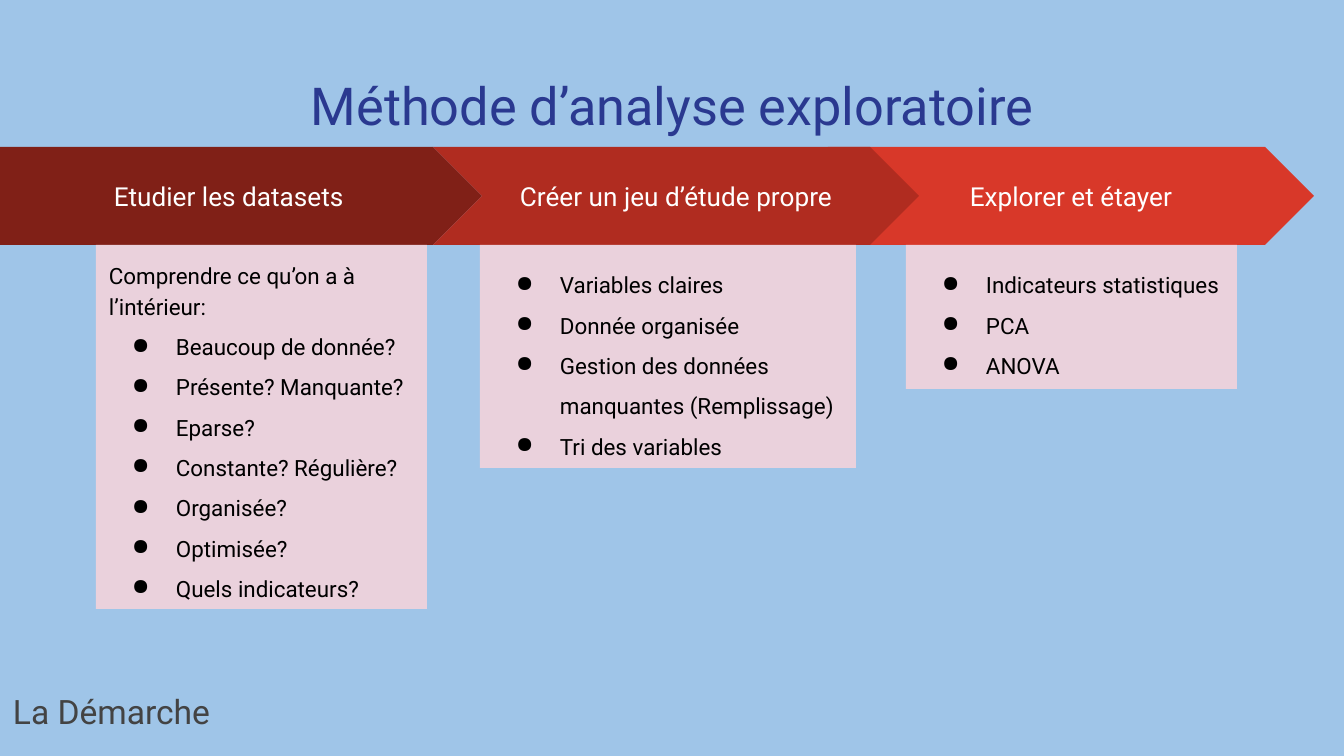
"""Build a slide with three process arrows and their detail panels."""
from lxml import etree
from pptx import Presentation
from pptx.dml.color import RGBColor
from pptx.enum.shapes import MSO_SHAPE
from pptx.enum.text import MSO_ANCHOR, MSO_AUTO_SIZE, PP_ALIGN
from pptx.oxml.ns import qn
from pptx.util import Emu, Pt

TOP, MIDDLE = MSO_ANCHOR.TOP, MSO_ANCHOR.MIDDLE
LEFT, CENTER = PP_ALIGN.LEFT, PP_ALIGN.CENTER
RECT, PLATE, CHEVRON = MSO_SHAPE.RECTANGLE, MSO_SHAPE.PENTAGON, MSO_SHAPE.CHEVRON
NO_FIT = MSO_AUTO_SIZE.NONE
PX = 914400 / 134.4


def px(*nums):
    return [Emu(round(num * PX)) for num in nums]


def write(shape, lines, size, color, align, anchor):
    frame = shape.text_frame
    frame.word_wrap = True
    frame.auto_size = NO_FIT
    frame.vertical_anchor = anchor
    inset = px(13)[0]
    frame.margin_left = frame.margin_right = inset
    frame.margin_top = frame.margin_bottom = inset
    for i, line in enumerate(lines):
        para = frame.add_paragraph() if i else frame.paragraphs[0]
        para.alignment = align
        run = para.add_run()
        run.text = line
        run.font.name = "Roboto"
        run.font.size = Pt(size)
        run.font.color.rgb = RGBColor.from_string(color)
    return frame.paragraphs


deck = Presentation()
deck.slide_width, deck.slide_height = px(1344, 756)
slide = deck.slides.add_slide(deck.slide_layouts[5])
back = slide.background.fill
back.solid()
back.fore_color.rgb = RGBColor.from_string("9FC5E8")

title = slide.shapes.title
title.left, title.top, title.width, title.height = px(46, 60, 1252, 89)
write(title, ["Méthode d’analyse exploratoire"], 28, "2A3990", CENTER, TOP)

label = slide.shapes.add_textbox(*px(0, 668, 242, 87))
write(label, ["La Démarche"], 18, "434343", LEFT, MIDDLE)

steps = [
    ("Explorer et étayer", CHEVRON, 828, 486, "D83829", 906, 331, 144, "",
     ["Indicateurs statistiques", "PCA", "ANOVA"]),
    ("Etudier les datasets", PLATE, 0, 482, "802017", 96, 331, 364,
     "Comprendre ce qu’on a à l’intérieur:",
     ["Beaucoup de donnée?", "Présente? Manquante?", "Eparse?",
      "Constante? Régulière?", "Organisée?", "Optimisée?",
      "Quels indicateurs?"]),
    ("Créer un jeu d’étude propre", CHEVRON, 433, 486, "B02C20", 480, 376, 223, "",
     ["Variables claires", "Donnée organisée",
      "Gestion des données manquantes (Remplissage)", "Tri des variables"]),
]

for name, kind, x, wide, color, left, width, height, intro, items in steps:
    arrow = slide.shapes.add_shape(kind, *px(x, 147, wide, 98))
    arrow.adjustments[0] = 0.5
    panel = slide.shapes.add_shape(RECT, *px(left, 245, width, height))
    for shape, fill in ((arrow, color), (panel, "EAD1DC")):
        shape.shadow.inherit = False
        shape.fill.solid()
        shape.fill.fore_color.rgb = RGBColor.from_string(fill)
        shape.line.fill.background()
    write(arrow, [name], 14, "FFFFFF", CENTER, MIDDLE)

    lines = [intro] + items if intro else items
    paras = write(panel, lines, 12, "000000", LEFT, TOP)
    for para, line in zip(paras, lines):
        if line == intro:
            para.line_spacing = 1.15
            continue
        para.line_spacing = 1.5
        props = para._p.get_or_add_pPr()
        margin, indent = px(67, -44)
        props.set("marL", str(margin))
        props.set("indent", str(indent))
        tint = etree.SubElement(props, qn("a:buClr"))
        etree.SubElement(tint, qn("a:srgbClr"), val="000000")
        etree.SubElement(props, qn("a:buChar"), char="●")

deck.save("out.pptx")
